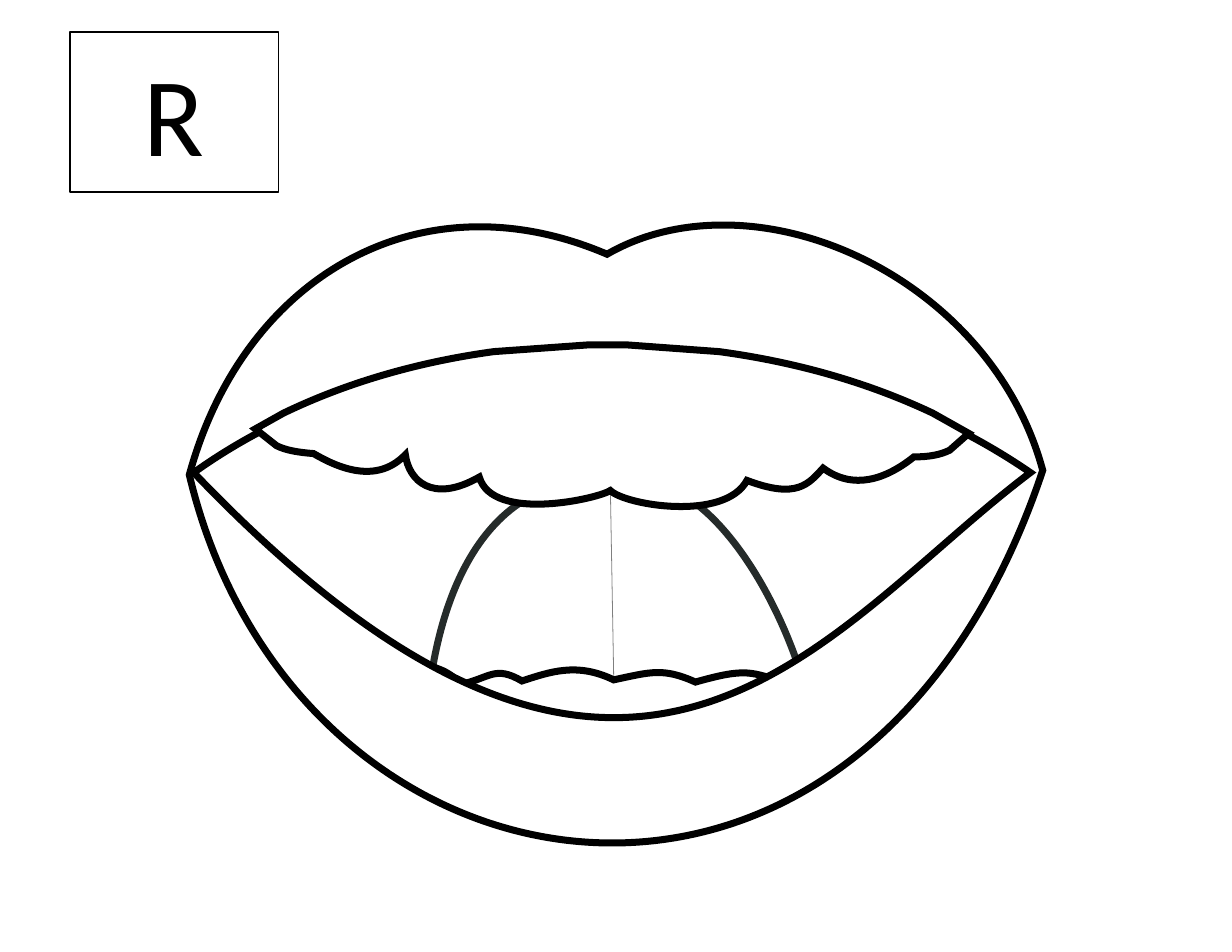
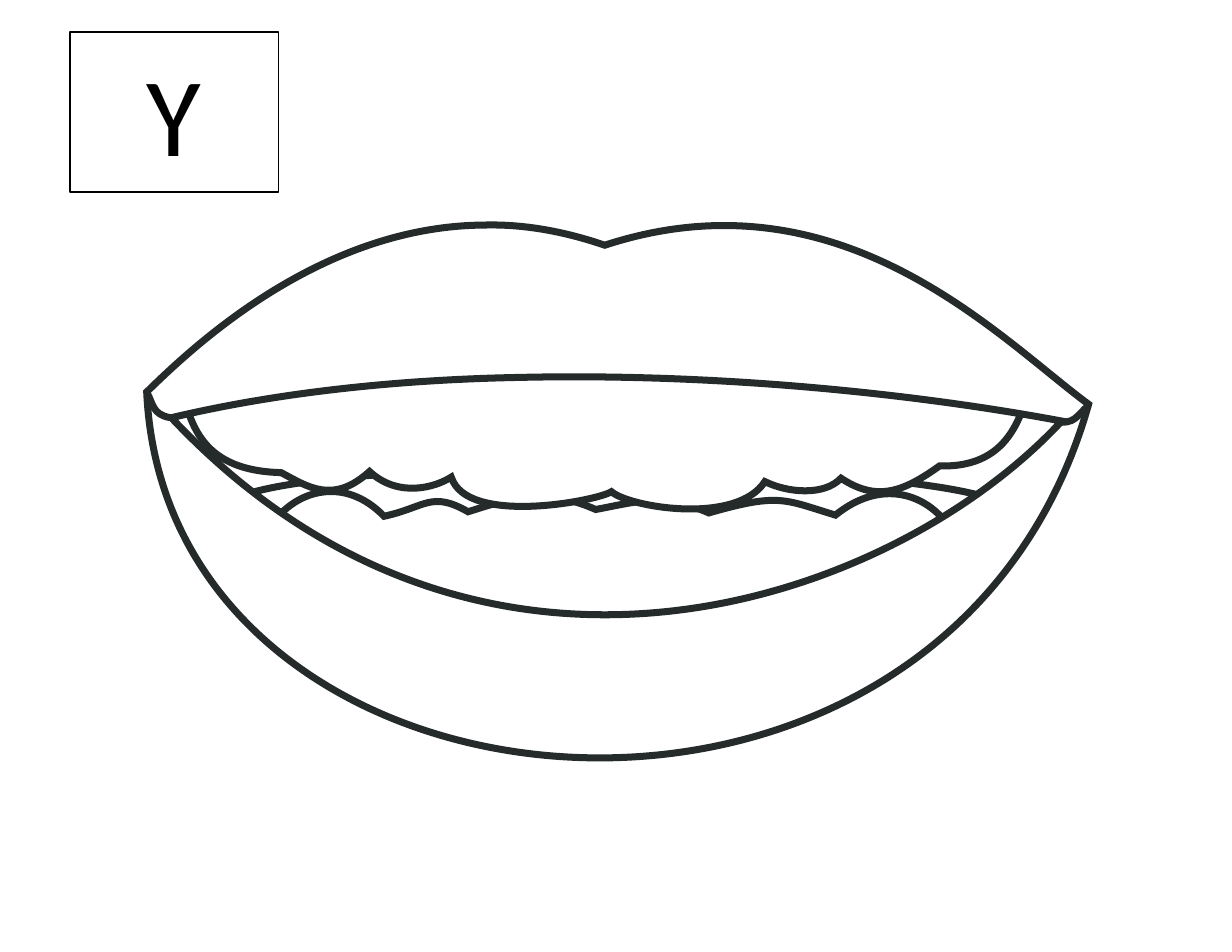
from dataclasses import dataclass

from lxml import etree
from pptx import Presentation
from pptx.dml.color import RGBColor
from pptx.enum.shapes import MSO_CONNECTOR, MSO_SHAPE
from pptx.enum.text import MSO_ANCHOR, MSO_AUTO_SIZE, PP_ALIGN
from pptx.oxml.ns import qn
from pptx.util import Inches, Pt

STRAIGHT, RECTANGLE = MSO_CONNECTOR.STRAIGHT, MSO_SHAPE.RECTANGLE
MIDDLE, CENTER = MSO_ANCHOR.MIDDLE, PP_ALIGN.CENTER
NO_AUTOFIT = MSO_AUTO_SIZE.NONE
TITLE_ONLY = 5


@dataclass(frozen=True)
class Theme:
    paper: RGBColor = RGBColor.from_string("FFFFFF")
    black: RGBColor = RGBColor.from_string("000000")
    charcoal: RGBColor = RGBColor.from_string("252B2A")
    font: str = "Calibri"
    letter_size: float = 72
    hairline: float = 0.5
    thin: float = 1
    stroke: float = 4.5


THEME = Theme()
WIDTH, HEIGHT = Inches(11), Inches(8.5)
PAGE = (0, 0, WIDTH, HEIGHT)
COLUMNS, ROWS = 1100, 850  # drawing grid
CURVE_STEPS = 40
POINTS_NEEDED = {"M": 1, "L": 1, "C": 3}
PATH_TAGS = {"M": "a:moveTo", "L": "a:lnTo", "C": "a:cubicBezTo", "Z": "a:close"}

# Outlines hold grid points: M starts a contour, L adds lines,
# C adds Bézier curves of three points each, Z closes the contour.
R_OPENING = "M 544,312 C 679,312 814,349 920,422 734,562 568,835 173,422 275,349 409,312 544,312 Z"
R_TONGUE = "M 549,431 C 654,404 736,624 724,662 567,804 416,708 379,674 383,510 448,417 549,431 Z"
R_LOWER_TEETH = (
    "M 372,659 C 290,655 360,557 412,611 438,605 442,594 466,608 491,600 515,591 548,607 "
    "581,600 592,596 621,609 667,596 670,600 703,610 762,563 814,653 759,661 "
    "598,687 508,703 372,659 Z"
)
R_LIPS = (
    "M 652,201 C 769,204 896,290 931,420 769,905 263,819 169,424 "
    "217,248 374,155 542,227 575,208 613,200 652,201 Z " + R_OPENING
)
R_UPPER_TEETH = (
    "M 525,308 L 560,308 642,314 C 709,323 774,341 833,369 L 865,387 848,402 "
    "C 840,406 830,408 816,408 791,428 762,438 735,418 722,432 712,446 667,429 "
    "647,466 558,451 545,438 535,445 440,467 428,426 386,450 365,429 362,406 "
    "335,434 299,416 280,405 266,404 255,402 247,398 L 228,383 253,369 "
    "C 311,341 375,323 441,314 L 525,308 Z"
)
R_TONGUE_CREASE = ((545, 438), (548, 607))

Y_OPENING = "M 141,372 C 405,305 742,333 951,375 802,549 426,697 141,372 Z"
Y_TONGUE = "M 205,448 C 268,405 835,409 900,452 960,493 673,602 557,601 441,600 142,492 205,448 Z"
Y_LOWER_TEETH = (
    "M 289,528 C 174,522 271,387 343,461 380,453 385,438 418,457 453,446 485,434 532,455 "
    "578,446 593,441 633,458 696,440 700,446 746,460 828,394 900,519 824,530 "
    "601,567 477,588 289,528 Z"
)
Y_UPPER_TEETH = (
    "M 449,299 C 621,296 759,305 900,324 L 924,328 C 914,364 906,418 839,416 "
    "808,438 784,449 751,427 736,443 703,440 683,430 658,469 562,453 546,439 "
    "534,447 417,470 403,426 389,435 356,445 330,421 297,451 274,434 251,422 "
    "169,420 169,365 158,332 L 194,317 C 277,306 363,301 449,299 Z"
)
Y_LIPS = (
    "M 432,201 C 466,200 502,206 540,219 751,150 892,302 972,361 844,815 149,751 131,350 "
    "171,311 285,202 432,201 Z "
    "M 464,337 C 357,339 250,350 153,373 433,670 801,535 948,376 820,352 643,333 464,337 Z"
)
Y_LEFT_CORNER = "M 152,373 C 136,370 137,361 131,350"
Y_RIGHT_CORNER = "M 942,376 C 960,380 962,370 972,362"


def on_grid(box, point):
    left, top, width, height = box
    return round(left + width * point[0] / COLUMNS), round(top + height * point[1] / ROWS)


def parse_outline(box, outline):
    """Return (command, placed points) pairs."""
    steps, command, points = [], "", []
    for token in outline.split():
        if token == "Z":
            steps.append((token, []))
        elif token in POINTS_NEEDED:
            command = token
        else:
            points.append(on_grid(box, [float(value) for value in token.split(",")]))
            if len(points) == POINTS_NEEDED[command]:
                steps.append((command, points))
                points = []
    return steps


def bezier(start, first, second, end):
    for step in range(1, CURVE_STEPS + 1):
        t = step / CURVE_STEPS
        weights = ((1 - t) ** 3, 3 * t * (1 - t) ** 2, 3 * t * t * (1 - t), t ** 3)
        yield tuple(sum(w * p[axis] for w, p in zip(weights, (start, first, second, end)))
                    for axis in (0, 1))


def trace(steps):
    """Return points along the outline, which give the shape its extent."""
    traced = []
    for command, points in steps:
        traced.extend(bezier(traced[-1], *points) if command == "C" else points)
    return traced


def set_curves(shape, steps):
    """Give a freeform the exact lines and curves of its outline."""
    path = shape._element.spPr.find(".//" + qn("a:path"))
    for child in list(path):
        path.remove(child)
    for command, points in steps:
        segment = etree.SubElement(path, qn(PATH_TAGS[command]))
        for x, y in points:
            etree.SubElement(segment, qn("a:pt"), x=str(x - shape.left), y=str(y - shape.top))


def set_fill(shape, color):
    shape.fill.solid()
    shape.fill.fore_color.rgb = color


def set_line(shape, color, width):
    shape.line.color.rgb = color
    shape.line.width = Pt(width)


def draw_outline(slide, box, outline, color, width=THEME.stroke):
    steps = parse_outline(box, outline)
    start, *rest = trace(steps)
    builder = slide.shapes.build_freeform(*start, scale=1.0)
    builder.add_line_segments(rest, close=False)
    drawn = builder.convert_to_shape()
    set_curves(drawn, steps)
    drawn.shadow.inherit = False
    if outline.endswith("Z"):
        set_fill(drawn, THEME.paper)
    else:
        drawn.fill.background()
    set_line(drawn, color, width)
    line = drawn._element.spPr.find(qn("a:ln"))
    etree.SubElement(line, qn("a:miter"), lim="800000")


def draw_crease(slide, box, ends):
    """Draw a half-transparent hairline."""
    start, end = (on_grid(box, point) for point in ends)
    crease = slide.shapes.add_connector(STRAIGHT, *start, *end)
    set_line(crease, THEME.black, THEME.hairline)
    properties = crease._element.spPr
    color = properties.find(".//" + qn("a:srgbClr"))
    etree.SubElement(color, qn("a:alpha"), val="50000")
    etree.SubElement(properties, qn("a:effectLst"))


def write(shape, text, *, size, color, align):
    frame = shape.text_frame
    frame.text = text
    frame.auto_size = NO_AUTOFIT
    frame.word_wrap = True
    frame.vertical_anchor = MIDDLE
    paragraph = frame.paragraphs[0]
    paragraph.alignment = align
    font = paragraph.runs[0].font
    font.name, font.size, font.color.rgb = THEME.font, Pt(size), color


def paper_sheet(slide, box):
    """Cover the box with paper, behind everything else."""
    sheet = slide.shapes.add_shape(RECTANGLE, *box)
    sheet.shadow.inherit = False
    set_fill(sheet, THEME.paper)
    set_line(sheet, THEME.paper, THEME.thin)
    slide.shapes.title._element.addprevious(sheet._element)


def letter_card(slide, box, letter):
    card = slide.shapes.title
    left, top = on_grid(box, (62.5, 28.5))
    right, bottom = on_grid(box, (248.5, 171.5))
    card.left, card.top = left, top
    card.width, card.height = right - left, bottom - top
    set_fill(card, THEME.paper)
    set_line(card, THEME.black, THEME.thin)
    write(card, letter, size=THEME.letter_size, color=THEME.black, align=CENTER)


def mouth_slide(deck, letter, layers, crease=None):
    """Add a letter card and its mouth, with layers from back to front."""
    slide = deck.slides.add_slide(deck.slide_layouts[TITLE_ONLY])
    paper_sheet(slide, PAGE)
    letter_card(slide, PAGE, letter)
    for layer in layers:
        draw_outline(slide, PAGE, *layer)
    if crease:
        draw_crease(slide, PAGE, crease)


def main():
    deck = Presentation()
    deck.slide_width, deck.slide_height = WIDTH, HEIGHT
    mouth_slide(deck, "R", [
        (R_OPENING, THEME.black, THEME.thin),
        (R_TONGUE, THEME.charcoal),
        (R_LOWER_TEETH, THEME.black),
        (R_LIPS, THEME.black),
        (R_UPPER_TEETH, THEME.black),
    ], crease=R_TONGUE_CREASE)
    mouth_slide(deck, "Y", [
        (outline, THEME.charcoal)
        for outline in (Y_OPENING, Y_TONGUE, Y_LOWER_TEETH, Y_UPPER_TEETH,
                        Y_LIPS, Y_LEFT_CORNER, Y_RIGHT_CORNER)
    ])
    deck.save("out.pptx")


if __name__ == "__main__":
    main()
